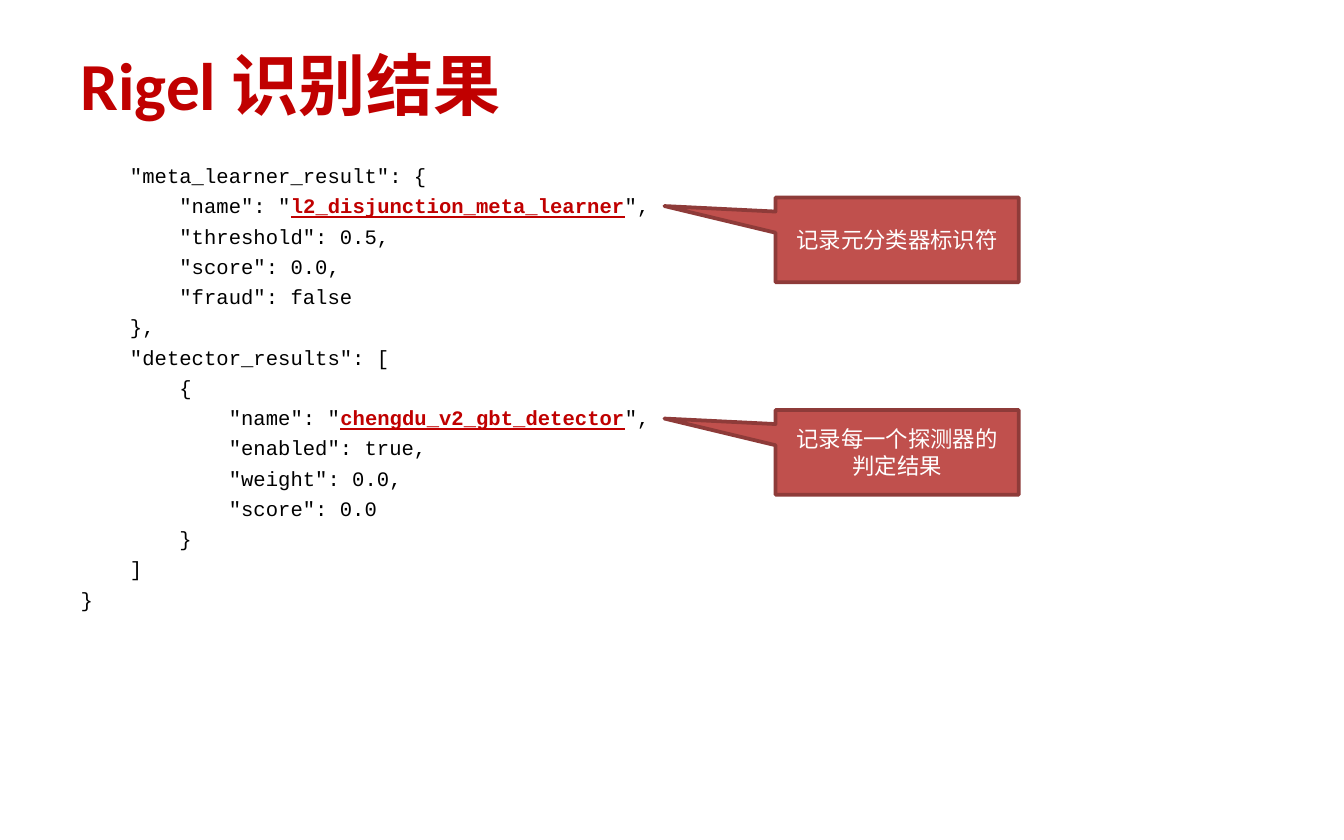
from lxml import etree
from pptx import Presentation
from pptx.dml.color import RGBColor
from pptx.enum.shapes import MSO_SHAPE
from pptx.enum.text import MSO_ANCHOR, MSO_AUTO_SIZE, PP_ALIGN
from pptx.oxml.ns import qn
from pptx.util import Inches, Pt

CALLOUT = MSO_SHAPE.RECTANGULAR_CALLOUT
MIDDLE, TOP = MSO_ANCHOR.MIDDLE, MSO_ANCHOR.TOP
LEFT, CENTER = PP_ALIGN.LEFT, PP_ALIGN.CENTER
FIXED = MSO_AUTO_SIZE.NONE

RED = RGBColor(0xC0, 0x00, 0x00)
BRICK = RGBColor(0xC0, 0x50, 0x4D)
EDGE = RGBColor(0x8E, 0x3B, 0x39)
BLACK = RGBColor(0, 0, 0)
WHITE = RGBColor(0xFF, 0xFF, 0xFF)

MARK = "*"  # encloses the words to stress in a code line
CODE = """\
    "meta_learner_result": {
        "name": "*l2_disjunction_meta_learner*",
        "threshold": 0.5,
        "score": 0.0,
        "fraud": false
    },
    "detector_results": [
        {
            "name": "*chengdu_v2_gbt_detector*",
            "enabled": true,
            "weight": 0.0,
            "score": 0.0
        }
    ]
}"""

# Lengths are in grid units: 100 columns and 100 rows per slide.
NOTES = [(48.8, "记录每一个探测器的判定结果"), (23.5, "记录元分类器标识符")]


class Deck:
    """Holds the style and the current slide."""

    sans, mono = "Calibri", "Courier New"

    def __init__(self, wide, high):
        self.file = Presentation()
        self.file.slide_width, self.file.slide_height = Inches(wide), Inches(high)
        self.col = self.file.slide_width / 100
        self.row = self.file.slide_height / 100
        self.slide = self.file.slides.add_slide(self.file.slide_layouts[1])

    def box(self, x, y, w, h):
        return (round(x * self.col), round(y * self.row),
                round(w * self.col), round(h * self.row))

    def place(self, shape, area, anchor):
        shape.left, shape.top, shape.width, shape.height = self.box(*area)
        frame = shape.text_frame
        frame.word_wrap = True
        frame.auto_size = FIXED
        frame.vertical_anchor = anchor
        return frame

    def add_text(self, para, text, name, size, color, bold=False, line=False):
        run = para.add_run()
        run.text = text
        font = run.font
        font.name, font.size = name, Pt(size)
        font.bold, font.underline = bold, line
        font.color.rgb = color

    def title(self, text, area):
        para = self.place(self.slide.shapes.title, area, MIDDLE).paragraphs[0]
        para.alignment = LEFT
        self.add_text(para, text, self.sans, 36, RED, bold=True)

    def code(self, text, area):
        frame = self.place(self.slide.placeholders[1], area, TOP)
        for i, line in enumerate(text.split("\n")):
            para = frame.add_paragraph() if i else frame.paragraphs[0]
            props = para._p.get_or_add_pPr()
            props.set("marL", "0")
            props.set("indent", "0")
            etree.SubElement(props, qn("a:buNone"))
            para.space_before = Pt(3 if i else 0)
            for j, part in enumerate(line.split(MARK)):
                key = j % 2 == 1
                self.add_text(para, part, self.mono, 11,
                              RED if key else BLACK, bold=key, line=key)

    def note(self, text, area):
        shape = self.slide.shapes.add_shape(CALLOUT, *self.box(*area))
        shape.shadow.inherit = False
        shape.adjustments[0], shape.adjustments[1] = -0.957, -0.398
        shape.fill.solid()
        shape.fill.fore_color.rgb = BRICK
        shape.line.color.rgb = EDGE
        shape.line.width = Pt(2)
        para = self.place(shape, area, MIDDLE).paragraphs[0]
        para.alignment = CENTER
        self.add_text(para, text, self.sans, 12, WHITE)


def main():
    deck = Deck(10, 6.25)
    deck.title("Rigel 识别结果", (5, 4, 90, 12))
    deck.code(CODE, (5, 18.6, 90, 70.9))
    for top, text in NOTES:
        deck.note(text, (57.7, top, 18.1, 10.1))
    deck.file.save("out.pptx")


if __name__ == "__main__":
    main()
